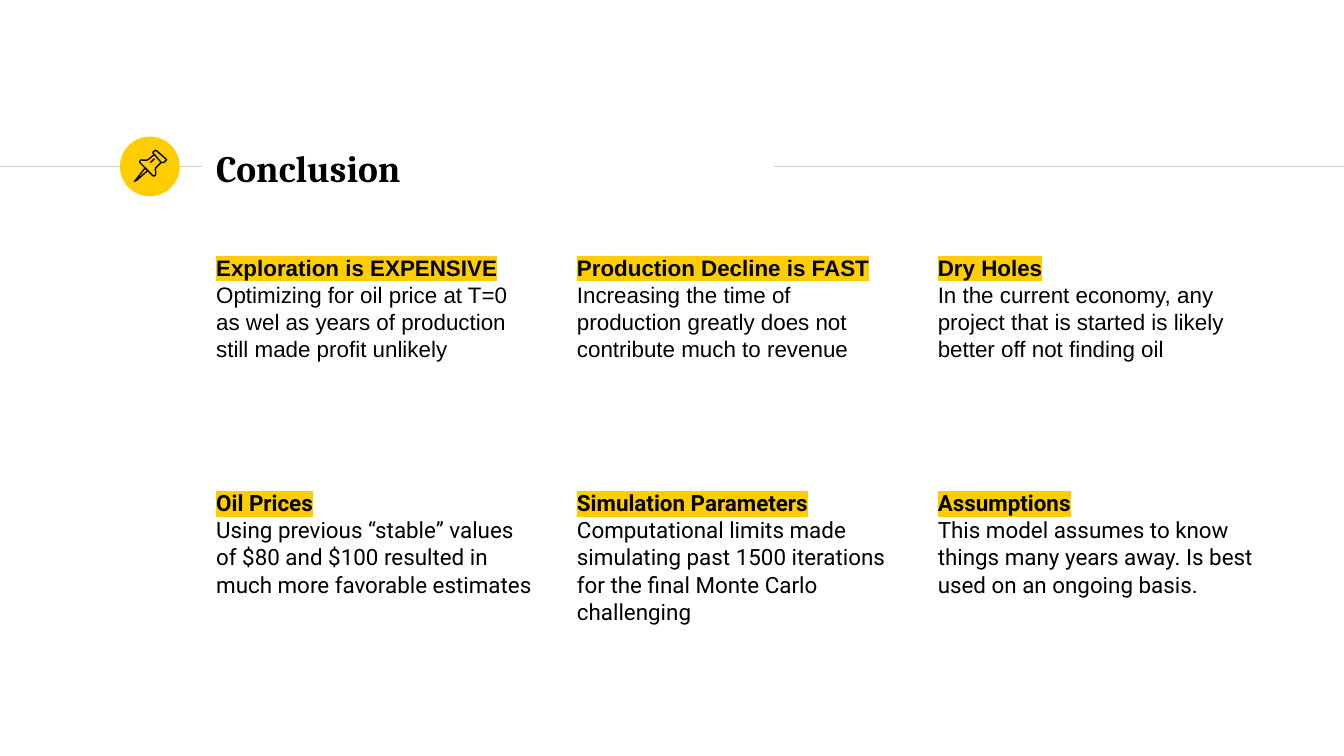
from dataclasses import dataclass

from lxml.etree import SubElement
from pptx import Presentation
from pptx.dml.color import RGBColor
from pptx.enum.shapes import MSO_CONNECTOR, MSO_SHAPE
from pptx.enum.text import MSO_ANCHOR
from pptx.oxml.ns import qn
from pptx.util import Pt

Point = tuple[float, float]


@dataclass(frozen=True)
class Theme:
    accent: str = "FFCD00"
    ink: str = "000000"
    rule: str = "CCCCCC"
    title_font: str = "Cambria"
    title_size: float = 20
    body_size: float = 12
    line_spacing: float = 14.5
    line_width: float = 0.75
    inset: float = 7.2


@dataclass(frozen=True)
class Finding:
    heading: str
    detail: str


@dataclass(frozen=True)
class FindingRow:
    font: str
    findings: tuple[Finding, ...]


@dataclass(frozen=True)
class Outline:
    points: tuple[Point, ...]
    closed: bool


THEME = Theme()
LEFT, TOP = 108.7, 128.9
COLUMN_STEP, ROW_STEP = 193.3, 126
CELL_WIDTH, CELL_HEIGHT = 183.6, 95
RULE_Y = 89.3

ROWS = (
    FindingRow("Arial", (
        Finding("Exploration is EXPENSIVE",
                "Optimizing for oil price at T=0 as wel as years of production still made profit unlikely"),
        Finding("Production Decline is FAST",
                "Increasing the time of production greatly does not contribute much to revenue"),
        Finding("Dry Holes",
                "In the current economy, any project that is started is likely better off not finding oil"),
    )),
    FindingRow("Roboto", (
        Finding("Oil Prices",
                "Using previous “stable” values of $80 and $100 resulted in much more favorable estimates"),
        Finding("Simulation Parameters",
                "Computational limits made simulating past 1500 iterations for the final Monte Carlo challenging"),
        Finding("Assumptions",
                "This model assumes to know things many years away. Is best used on an ongoing basis."),
    )),
)

PIN_NEEDLE = Outline(((77.8, 90), (72.7, 96.5), (72, 97.2), (73.4, 96.5), (79.2, 91.4)), True)
PIN_HEAD = Outline(((82.8, 82.8), (86.4, 87.1), (87.8, 87.1), (89.1, 85.9), (89.3, 85.5),
                    (83.7, 80.6), (83.2, 80.6), (82.1, 81.4), (82.1, 82.3)), True)
PIN_BODY = Outline(((82.8, 82.8), (79.2, 85.7), (77.8, 85.9), (75.6, 85.7), (74.9, 86.6),
                    (74.9, 87.1), (82.1, 94.3), (82.8, 94.3), (83.5, 93.6), (83.5, 92.2),
                    (83.2, 91), (83.5, 90), (86.4, 87.1)), False)
PIN_GLINT: tuple[Point, Point] = ((80.6, 87.1), (82.8, 85))


def color(value: str) -> RGBColor:
    return RGBColor.from_string(value)


def add_line(shapes, start: Point, end: Point, line_color: str) -> None:
    line = shapes.add_connector(MSO_CONNECTOR.STRAIGHT, *map(Pt, start + end))
    line.line.color.rgb = color(line_color)
    line.line.width = Pt(THEME.line_width)
    SubElement(line._element.spPr, qn("a:effectLst"))


def add_outline(shapes, outline: Outline) -> None:
    """Draw an unfilled outline on a grid of tenths of a point."""
    grid = [(round(x * 10), round(y * 10)) for x, y in outline.points]
    builder = shapes.build_freeform(*grid[0], scale=Pt(0.1))
    builder.add_line_segments(grid[1:], close=outline.closed)
    shape = builder.convert_to_shape()
    shape.shadow.inherit = False
    shape.fill.background()
    shape.line.color.rgb = color(THEME.ink)
    shape.line.width = Pt(THEME.line_width)


def add_text_box(shapes, left: float, top: float, width: float, height: float):
    box = shapes.add_textbox(Pt(left), Pt(top), Pt(width), Pt(height))
    frame = box.text_frame
    frame.word_wrap = True
    frame.margin_left = frame.margin_right = Pt(THEME.inset)
    frame.margin_top = frame.margin_bottom = Pt(THEME.inset)
    return frame


def add_span(para, text: str, font: str, size: float, bold: bool, highlighted: bool = False) -> None:
    span = para.add_run()
    span.text = text
    span.font.name = font
    span.font.size = Pt(size)
    span.font.bold = bold
    span.font.color.rgb = color(THEME.ink)
    if highlighted:
        properties = span._r.get_or_add_rPr()
        highlight = SubElement(properties, qn("a:highlight"))
        SubElement(highlight, qn("a:srgbClr"), val=THEME.accent)
        properties.find(qn("a:solidFill")).addnext(highlight)


def add_title(shapes, text: str) -> None:
    frame = add_text_box(shapes, LEFT, 72.7, 305.3, 34.6)
    frame.vertical_anchor = MSO_ANCHOR.MIDDLE
    add_span(frame.paragraphs[0], text, THEME.title_font, THEME.title_size, True)


def add_finding(shapes, left: float, top: float, finding: Finding, font: str) -> None:
    frame = add_text_box(shapes, left, top, CELL_WIDTH, CELL_HEIGHT)
    heading, detail = frame.paragraphs[0], frame.add_paragraph()
    heading.line_spacing = detail.line_spacing = Pt(THEME.line_spacing)
    add_span(heading, finding.heading, font, THEME.body_size, True, highlighted=True)
    add_span(detail, finding.detail, font, THEME.body_size, False)


def add_badge(shapes) -> None:
    disc = shapes.add_shape(MSO_SHAPE.OVAL, Pt(64.3), Pt(73.2), Pt(32), Pt(32))
    disc.shadow.inherit = False
    disc.fill.solid()
    disc.fill.fore_color.rgb = color(THEME.accent)
    disc.line.fill.background()


def add_pin(shapes) -> None:
    pin = shapes.add_group_shape()
    for outline in (PIN_NEEDLE, PIN_HEAD, PIN_BODY):
        add_outline(pin.shapes, outline)
    add_line(pin.shapes, *PIN_GLINT, THEME.ink)


def main() -> None:
    deck = Presentation()
    deck.slide_width, deck.slide_height = Pt(720), Pt(405)
    page = deck.slides.add_slide(deck.slide_layouts[6])
    shapes = page.shapes

    add_line(shapes, (0, RULE_Y), (108, RULE_Y), THEME.rule)
    add_line(shapes, (414.7, RULE_Y), (720, RULE_Y), THEME.rule)
    add_badge(shapes)
    add_pin(shapes)
    add_title(shapes, "Conclusion")
    for row_index, row in enumerate(ROWS):
        for column_index, finding in enumerate(row.findings):
            add_finding(shapes, LEFT + column_index * COLUMN_STEP,
                        TOP + row_index * ROW_STEP, finding, row.font)

    deck.save("out.pptx")


if __name__ == "__main__":
    main()
